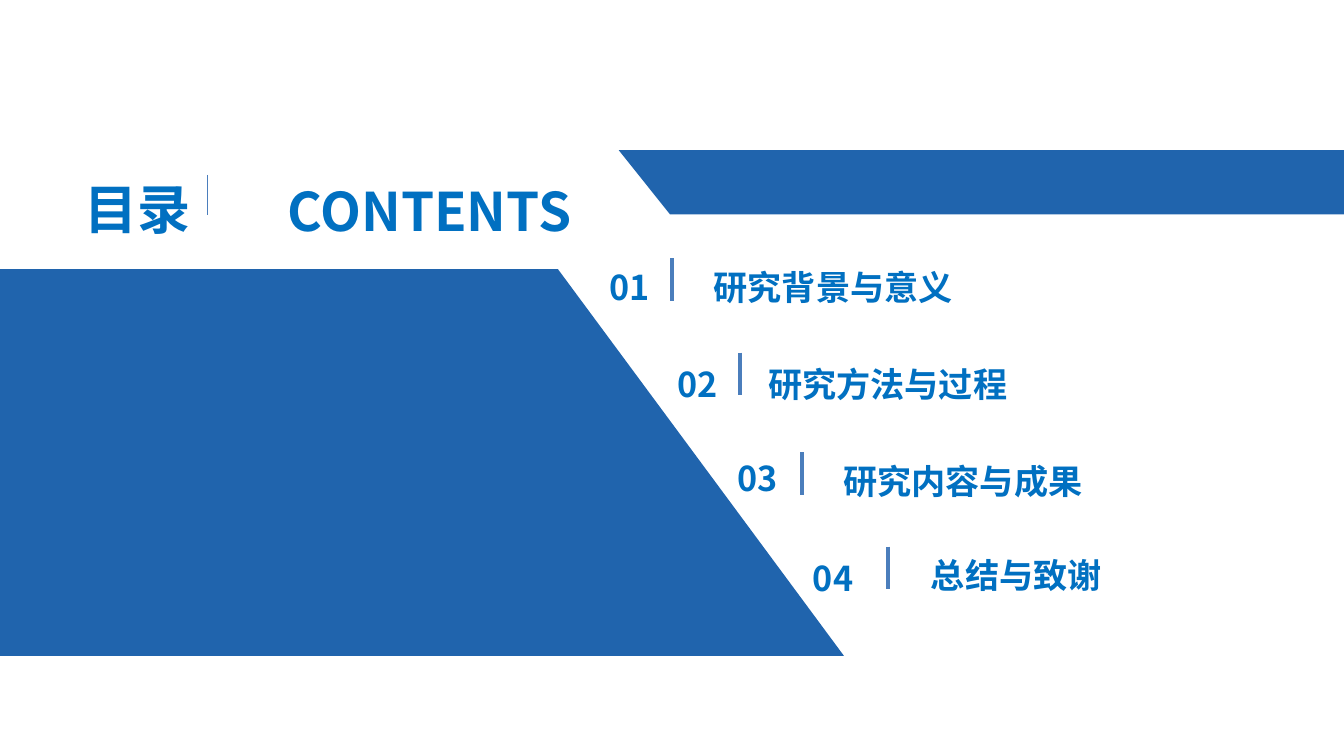
from dataclasses import dataclass

from lxml.etree import SubElement
from pptx import Presentation
from pptx.dml.color import RGBColor
from pptx.enum.shapes import MSO_CONNECTOR as Connector, MSO_SHAPE as Preset
from pptx.enum.text import MSO_ANCHOR as Anchor, MSO_AUTO_SIZE as AutoSize, PP_ALIGN as Align
from pptx.oxml.ns import qn
from pptx.shapes.base import BaseShape
from pptx.slide import Slide
from pptx.util import Pt


@dataclass(frozen=True)
class Theme:
    font: str = "Noto Sans CJK SC"
    text: RGBColor = RGBColor(0x01, 0x70, 0xC1)
    band: RGBColor = RGBColor(0x20, 0x64, 0xAD)
    rule: RGBColor = RGBColor(0x4B, 0x7E, 0xBC)
    heading_size: float = 28
    item_size: float = 18
    line_spacing: float = 1.2
    heading_rule: float = 0.75
    item_rule: float = 2


@dataclass(frozen=True)
class Box:
    left: float
    top: float
    width: float
    height: float


@dataclass(frozen=True)
class Band:
    box: Box
    slant: float


@dataclass(frozen=True)
class Rule:
    x: float
    top: float
    height: float
    weight: float


@dataclass(frozen=True)
class Entry:
    title: str
    number_left: float
    number_top: float
    rule_x: float
    rule_top: float
    title_left: float
    title_top: float


THEME = Theme()
SLIDE_WIDTH, SLIDE_HEIGHT = 708.5, 396.7
ITEM_WIDTH, ITEM_HEIGHT = 181.4, 23.8
ITEM_RULE_HEIGHT = 22.3

BANDS = (
    Band(Box(326.2, 79.2, 465.1, 33.8), 0.8),
    Band(Box(-218.2, 141.8, 663.1, 203.8), 0.74),
)
CHINESE_HEADING = Box(1.4, 84.2, 141.8, 37.4)
ENGLISH_HEADING = Box(103.7, 85, 245.5, 41)
HEADING_RULE = Rule(109.4, 92.2, 20.9, THEME.heading_rule)
ENTRIES = (
    Entry("研究背景与意义", 241.2, 134.6, 354.2, 136.1, 348.5, 134.6),
    Entry("研究方法与过程", 277.2, 185.8, 390.2, 185.8, 377.3, 185.8),
    Entry("研究内容与成果", 308.9, 235.4, 422.6, 238.3, 416.9, 236.9),
    Entry("总结与致谢", 348.5, 288, 468, 288, 445, 286.6),
)


def place(shape: BaseShape, box: Box) -> None:
    for name in ("left", "top", "width", "height"):
        setattr(shape, name, Pt(getattr(box, name)))


def write(shape: BaseShape, text: str, size: float) -> None:
    frame = shape.text_frame
    frame_format = {
        "margin_left": 0, "margin_right": 0, "margin_bottom": 0,
        "margin_top": Pt(round(size * 0.075, 2)), "word_wrap": True,
        "auto_size": AutoSize.SHAPE_TO_FIT_TEXT, "vertical_anchor": Anchor.TOP,
    }
    for name, value in frame_format.items():
        setattr(frame, name, value)
    paragraph = frame.paragraphs[0]
    paragraph_format = {
        "alignment": Align.CENTER, "line_spacing": THEME.line_spacing, "space_before": Pt(0),
    }
    for name, value in paragraph_format.items():
        setattr(paragraph, name, value)
    run = paragraph.add_run()
    run.text = text
    for name, value in {"name": THEME.font, "size": Pt(size), "bold": True}.items():
        setattr(run.font, name, value)
    run.font.color.rgb = THEME.text
    SubElement(run._r.get_or_add_rPr(), qn("a:ea"), typeface=THEME.font)


def add_text(slide: Slide, text: str, box: Box, size: float) -> None:
    shape = slide.shapes.add_textbox(0, 0, 0, 0)
    write(shape, text, size)
    place(shape, box)


def add_band(slide: Slide, band: Band) -> None:
    shape = slide.shapes.add_shape(Preset.PARALLELOGRAM, 0, 0, 0, 0)
    place(shape, band.box)
    shape.adjustments[0] = band.slant
    shape.shadow.inherit = False
    shape.fill.solid()
    shape.fill.fore_color.rgb = THEME.band
    shape.line.fill.background()
    shape._element.spPr.xfrm.set("flipV", "1")


def add_rule(slide: Slide, rule: Rule) -> None:
    line = slide.shapes.add_connector(
        Connector.STRAIGHT, Pt(rule.x), Pt(rule.top), Pt(rule.x), Pt(rule.top + rule.height)
    )
    line.line.color.rgb = THEME.rule
    line.line.width = Pt(rule.weight)
    SubElement(line._element.spPr, qn("a:effectLst"))


def add_entry(slide: Slide, number: int, entry: Entry) -> None:
    number_box = Box(entry.number_left, entry.number_top, ITEM_WIDTH, ITEM_HEIGHT)
    title_box = Box(entry.title_left, entry.title_top, ITEM_WIDTH, ITEM_HEIGHT)
    add_text(slide, f"{number:02}", number_box, THEME.item_size)
    add_rule(slide, Rule(entry.rule_x, entry.rule_top, ITEM_RULE_HEIGHT, THEME.item_rule))
    add_text(slide, entry.title, title_box, THEME.item_size)


def main() -> None:
    presentation = Presentation()
    presentation.slide_width = Pt(SLIDE_WIDTH)
    presentation.slide_height = Pt(SLIDE_HEIGHT)
    slide = presentation.slides.add_slide(presentation.slide_layouts.get_by_name("Title Only"))
    for band in BANDS:
        add_band(slide, band)
    heading = slide.shapes.title
    write(heading, "目录", THEME.heading_size)
    place(heading, CHINESE_HEADING)
    add_rule(slide, HEADING_RULE)
    add_text(slide, "CONTENTS", ENGLISH_HEADING, THEME.heading_size)
    for number, entry in enumerate(ENTRIES, start=1):
        add_entry(slide, number, entry)
    presentation.save("out.pptx")


if __name__ == "__main__":
    main()
